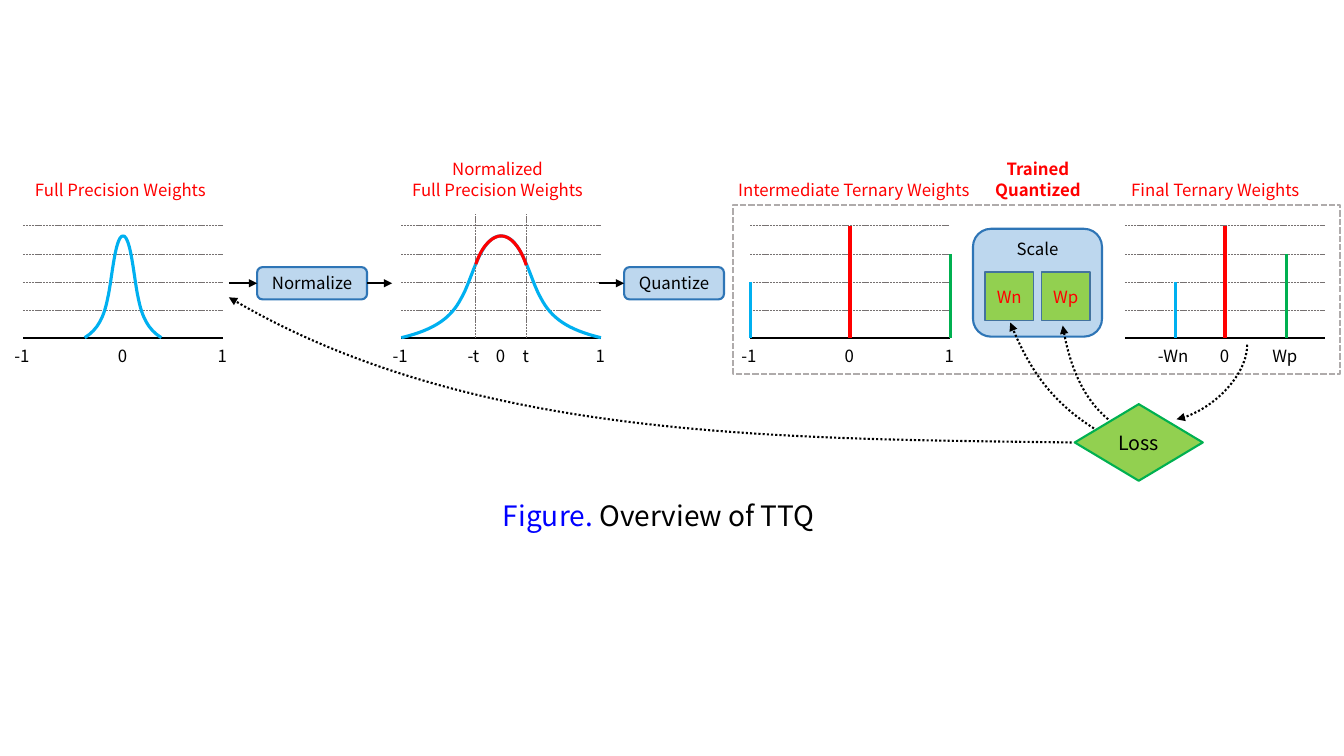
from lxml.etree import SubElement
from pptx import Presentation
from pptx.dml.color import RGBColor
from pptx.enum.dml import MSO_LINE
from pptx.enum.shapes import MSO_CONNECTOR, MSO_SHAPE
from pptx.enum.text import MSO_ANCHOR, PP_ALIGN
from pptx.oxml.ns import qn
from pptx.util import Inches, Pt

FONT = "Noto Sans CJK SC"
COLORS = {
    "black": "000000", "red": "FF0000", "sky": "00B0F0", "green": "00B050",
    "lime": "92D050", "pale": "BDD7EE", "navy": "2E75B6", "steel": "43739E",
    "grid": "767171", "frame": "AFABAB", "blue": "0000FF",
}

# Content: offsets run from the left end of each axis
AXIS_WIDTH, AXIS_MIDDLE, GRID_TOP, GRID_STEP, BASE = 1.98, 0.99, 2.24, 0.28, 3.35
LABEL_WIDTHS = {"-1": 0.37, "0": 0.3, "1": 0.3, "-t": 0.34, "t": 0.27,
                "-Wn": 0.55, "Wp": 0.48}
UNIT_TICKS = {"-1": 0, "0": AXIS_MIDDLE, "1": AXIS_WIDTH}
PLOTS = [
    {"left": 0.23, "ticks": UNIT_TICKS, "bell": 0.38},
    {"left": 3.98, "ticks": {**UNIT_TICKS, "-t": 0.73, "t": 1.24},
     "bell": 0.99, "thresholds": (0.73, 1.24)},
    {"left": 7.44, "ticks": UNIT_TICKS,
     "bars": [(0, 2, "sky"), (AXIS_MIDDLE, 0, "red"), (1.99, 1, "green")]},
    {"left": 11.16, "ticks": {"-Wn": 0.5, "0": AXIS_MIDDLE, "Wp": 1.6},
     "bars": [(0.5, 2, "sky"), (AXIS_MIDDLE, 0, "red"), (1.6, 1, "green")]},
]
# Half of a bell: share of its half-width, height on the slide
BELL = [(0, BASE), (0.34, 3.27), (0.5, 3.15), (0.6, 2.96),
        (0.71, 2.78), (0.79, 2.34), (1, 2.34)]
PEAK = [(4.72, 2.62), (4.79, 2.41), (4.9, 2.34), (4.97, 2.34),
        (5.05, 2.34), (5.15, 2.42), (5.22, 2.63)]
HEADINGS = [
    (["Full Precision Weights"], 0.21, 1.97, False),
    (["Normalized", "Full Precision Weights"], 3.95, 1.97, False),
    (["Intermediate Ternary Weights"], 7.18, 2.58, False),
    (["Trained", "Quantized"], 9.76, 1.07, True),
    (["Final Ternary Weights"], 11.09, 1.93, False),
]
FEEDBACK = [
    [(10.63, 4.39), (7.74, 4.35), (4.66, 4.37), (2.27, 2.95)],
    [(10.85, 4.25), (10.44, 3.99), (10.2, 3.65), (10.02, 3.2)],
    [(10.99, 4.16), (10.75, 3.96), (10.6, 3.61), (10.54, 3.23)],
    [(12.37, 3.42), (12.37, 3.71), (12.01, 4.09), (11.67, 4.16)],
]

deck = Presentation()
deck.slide_width, deck.slide_height = Inches(13.33), Inches(7.5)
page = deck.slides.add_slide(deck.slide_layouts[6])


def color(name):
    return RGBColor.from_string(COLORS[name])


def write(frame, lines, size=12, align=PP_ALIGN.CENTER, anchor=MSO_ANCHOR.TOP,
          bold=False, wrap=False):
    """Fill a text frame; each line is a list of (text, color name) spans."""
    frame.word_wrap = wrap
    frame.vertical_anchor = anchor
    for number, line in enumerate(lines):
        para = frame.paragraphs[0] if number == 0 else frame.add_paragraph()
        para.alignment = align
        for text, name in line:
            span = para.add_run()
            span.text = text
            span.font.name, span.font.size = FONT, Pt(size)
            span.font.bold = bold
            span.font.color.rgb = color(name)


def add_text(lines, left, top, width, height, **form):
    box = page.shapes.add_textbox(*map(Inches, (left, top, width, height)))
    write(box.text_frame, lines, **form)


def style_line(shape, name, weight, dash=None, arrow=False):
    shape.line.color.rgb = color(name)
    shape.line.width = Pt(weight)
    if dash:
        shape.line.dash_style = dash
    if arrow:
        outline = shape.element.spPr.find(qn("a:ln"))
        SubElement(outline, qn("a:tailEnd"), type="triangle")


def add_line(start, end, name="black", weight=1.5, **form):
    line = page.shapes.add_connector(MSO_CONNECTOR.STRAIGHT, *map(Inches, start + end))
    style_line(line, name, weight, **form)
    SubElement(line.element.spPr, qn("a:effectLst"))
    return line


def add_curve(points, name, weight, **form):
    """Draw cubic Bezier segments: a start, then three points for each one."""
    spots = [(Inches(x), Inches(y)) for x, y in points]
    builder = page.shapes.build_freeform(*spots[0])
    builder.add_line_segments(spots[1:], close=False)
    curve = builder.convert_to_shape()
    steps = list(curve.element.iter(qn("a:lnTo")))
    route = steps[0].getparent()
    for first in range(0, len(steps), 3):
        bezier = SubElement(route, qn("a:cubicBezTo"))
        for step in steps[first:first + 3]:
            bezier.append(step[0])
            route.remove(step)
    curve.fill.background()
    curve.shadow.inherit = False
    style_line(curve, name, weight, **form)


def add_block(kind, left, top, width, height, fill, line, weight=1.5, dash=None,
              text=None, ink="black", **form):
    block = page.shapes.add_shape(kind, *map(Inches, (left, top, width, height)))
    block.shadow.inherit = False
    if fill:
        block.fill.solid()
        block.fill.fore_color.rgb = color(fill)
    else:
        block.fill.background()
    style_line(block, line, weight, dash)
    if text:
        frame = block.text_frame
        frame.margin_left = frame.margin_right = 0
        write(frame, [[(text, ink)]], wrap=True, **{"anchor": MSO_ANCHOR.MIDDLE, **form})
    return block


# Scale block with its two trained factors
add_block(MSO_SHAPE.ROUNDED_RECTANGLE, 9.65, 2.27, 1.28, 1.07, "pale", "navy",
          text="Scale", anchor=MSO_ANCHOR.TOP)
for factor, left in (("Wn", 9.77), ("Wp", 10.33)):
    add_block(MSO_SHAPE.RECTANGLE, left, 2.7, 0.48, 0.48, "lime", "steel", 1,
              text=factor, ink="red")

# Weight distributions
for plot in PLOTS:
    left = plot["left"]
    right, middle = left + AXIS_WIDTH, left + AXIS_MIDDLE
    for row in range(4):
        y = GRID_TOP + row * GRID_STEP
        add_line((left, y), (right, y), "grid", 0.5, dash=MSO_LINE.SQUARE_DOT)
    add_line((left, BASE), (right, BASE))
    if "bell" in plot:
        for side in (-1, 1):
            add_curve([(middle + side * plot["bell"] * (1 - share), y)
                       for share, y in BELL], "sky", 2.25)
    for offset in plot.get("thresholds", ()):
        add_line((left + offset, BASE), (left + offset, 2.12), "grid", 0.5,
                 dash=MSO_LINE.SQUARE_DOT)
    for offset, row, name in plot.get("bars", ()):
        add_line((left + offset, GRID_TOP + row * GRID_STEP), (left + offset, BASE),
                 name, 2.25)
    for label, offset in plot["ticks"].items():
        width = LABEL_WIDTHS[label]
        add_text([[(label, "black")]], left + offset - width / 2, 3.38, width, 0.3,
                 align=PP_ALIGN.LEFT)
add_curve(PEAK, "red", 2.25)

# Processing steps and the arrows between them
normalize, quantize = [
    add_block(MSO_SHAPE.ROUNDED_RECTANGLE, left, 2.65, width, 0.32, "pale", "navy", text=text)
    for text, left, width in (("Normalize", 2.55, 1.09), ("Quantize", 6.19, 0.99))]
for start, end, source, target in ((2.27, 2.55, None, normalize),
                                   (3.64, 3.89, normalize, None),
                                   (5.94, 6.19, None, quantize)):
    arrow = add_line((start, 2.81), (end, 2.81), arrow=True)
    if source:
        arrow.begin_connect(source, 3)
    if target:
        arrow.end_connect(target, 1)

# Frame and headings
add_block(MSO_SHAPE.RECTANGLE, 7.27, 2.03, 6.02, 1.68, None, "frame",
          dash=MSO_LINE.SQUARE_DOT)
for lines, left, width, bold in HEADINGS:
    height = 0.1 + 0.2 * len(lines)
    add_text([[(line, "red")] for line in lines], left, 2.03 - height, width, height, bold=bold)

# Loss and its feedback
add_block(MSO_SHAPE.FLOWCHART_DECISION, 10.66, 4.01, 1.27, 0.76, "lime", "green",
          text="Loss", size=14)
for points in FEEDBACK:
    add_curve(points, "black", 1.5, dash=MSO_LINE.ROUND_DOT, arrow=True)

# Caption
add_text([[("Figure. ", "blue"), ("Overview of TTQ", "black")]], 4.89, 4.9, 3.55, 0.44,
         size=20, align=PP_ALIGN.LEFT)

deck.save("out.pptx")
